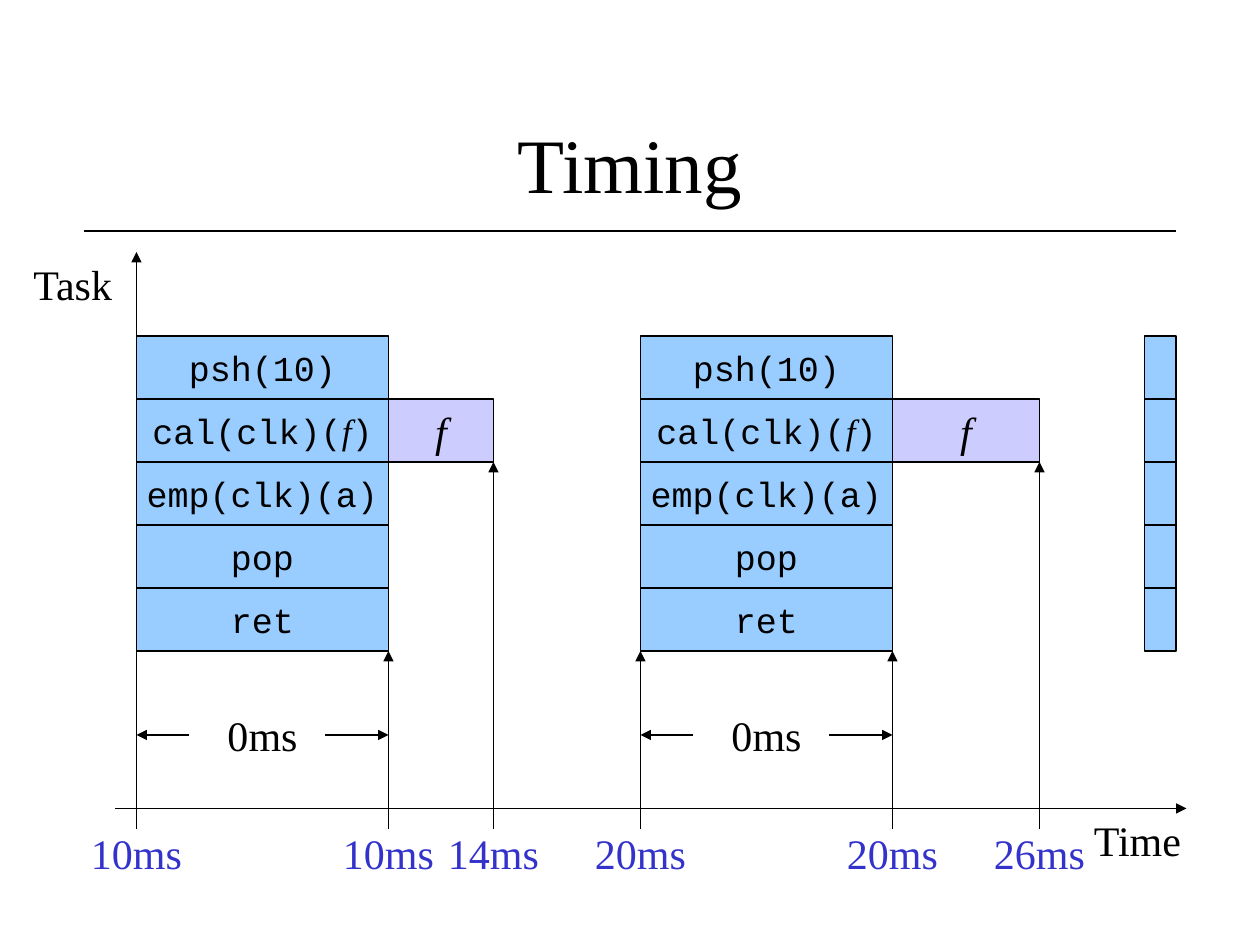
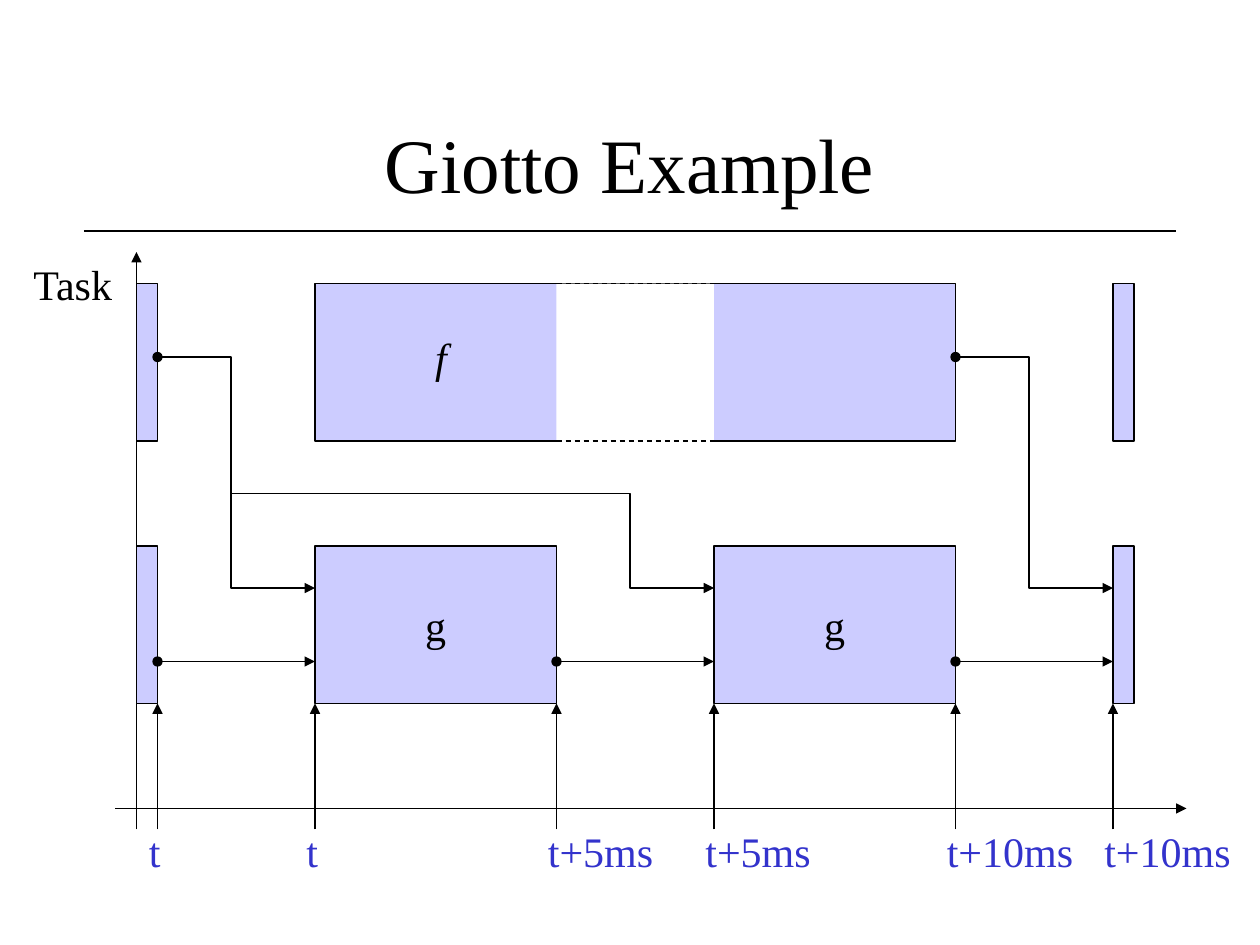
from lxml.etree import SubElement
from pptx import Presentation
from pptx.dml.color import RGBColor
from pptx.enum.dml import MSO_LINE_DASH_STYLE as DASH
from pptx.enum.shapes import MSO_CONNECTOR as CONNECTOR, MSO_SHAPE as SHAPE
from pptx.enum.text import MSO_ANCHOR as ANCHOR, MSO_AUTO_SIZE as AUTO, PP_ALIGN as ALIGN
from pptx.oxml.ns import qn
from pptx.util import Pt

PX = 9525
BLACK, WHITE, BLUE = "000000", "FFFFFF", "3333CC"
SKY, LILAC = "99CCFF", "CCCCFF"
SERIF = {"name": "Times New Roman", "size": Pt(24)}
ITALIC = {**SERIF, "italic": True}
CODE = {"name": "Courier New", "size": Pt(20)}
CODE_ITALIC = {**ITALIC, "size": Pt(20)}
TITLE = {**SERIF, "size": Pt(44)}
color = RGBColor.from_string


def add_box(shapes, area, spans=(), fill=None, ink=BLACK, align=ALIGN.CENTER, outlined=True):
    area = [value * PX for value in area]
    if fill:
        box = shapes.add_shape(SHAPE.RECTANGLE, *area)
        box.shadow.inherit = False
        box.fill.solid()
        box.fill.fore_color.rgb = color(fill)
        if outlined:
            box.line.color.rgb = color(BLACK)
            box.line.width = Pt(0.75)
        else:
            box.line.fill.background()
        frame_values = {"word_wrap": False, "vertical_anchor": ANCHOR.MIDDLE}
    else:
        box = shapes.add_textbox(*area)
        frame_values = {"word_wrap": True, "auto_size": AUTO.SHAPE_TO_FIT_TEXT}
    for key, value in frame_values.items():
        setattr(box.text_frame, key, value)
    para = box.text_frame.paragraphs[0]
    para.alignment = align
    for text, style in spans:
        span = para.add_run()
        span.text = text
        span.font.color.rgb = color(ink)
        for key, value in style.items():
            setattr(span.font, key, value)


def add_path(shapes, points, head=None, tail="triangle", dash=None):
    if len(points) == 2:
        ends = [value * PX for point in points for value in point]
        path = shapes.add_connector(CONNECTOR.STRAIGHT, *ends)
    else:
        builder = shapes.build_freeform(*points[0], scale=PX)
        builder.add_line_segments(points[1:], close=False)
        path = builder.convert_to_shape()
        path.fill.background()
    path.line.color.rgb = color(BLACK)
    path.line.width = Pt(0.75)
    if dash:
        path.line.dash_style = dash
    outline = path.element.spPr.find(qn("a:ln"))
    for tag, kind in (("a:headEnd", head), ("a:tailEnd", tail)):
        if kind:
            SubElement(outline, qn(tag), type=kind)
    SubElement(path.element.spPr, qn("a:effectLst"))


deck = Presentation()
deck.slide_width, deck.slide_height = 960 * PX, 720 * PX

pages = []
for heading in ("Timing", "Giotto Example"):
    page = deck.slides.add_slide(deck.slide_layouts[5])
    title = page.shapes.title
    title_place = {"left": 72, "top": 64, "width": 816, "height": 120}
    for key, value in title_place.items():
        setattr(title, key, value * PX)
    title.text_frame.text = heading
    title.text_frame.vertical_anchor = ANCHOR.MIDDLE
    para = title.text_frame.paragraphs[0]
    para.alignment = ALIGN.CENTER
    para.font.color.rgb = color(BLACK)
    for key, value in TITLE.items():
        setattr(para.font, key, value)
    add_path(page.shapes, [(64, 176), (896, 176)], tail=None)
    add_path(page.shapes, [(104, 632), (104, 192)])
    add_path(page.shapes, [(88, 616), (904, 616)])
    add_box(page.shapes, (16, 192, 86, 48), [("Task", SERIF)], align=ALIGN.LEFT)
    pages.append(page)

timing, giotto = [page.shapes for page in pages]

ROW_TOP, ROW = 256, 48
commands = [
    [("psh(10)", CODE)],
    [("cal(clk)(", CODE), ("f", CODE_ITALIC), (")", CODE)],
    [("emp(clk)(a)", CODE)],
    [("pop", CODE)],
    [("ret", CODE)],
]
add_box(timing, (824, 616, 92, 48), [("Time", SERIF)], align=ALIGN.LEFT)
for start, task_width in ((104, 80), (488, 112)):
    end = start + 192
    add_box(timing, (end, ROW_TOP + ROW, task_width, ROW), [("f", ITALIC)], LILAC)
    add_box(timing, (start + 56, 536, 80, 48), [("0ms", SERIF)])
    add_path(timing, [(start + 40, 560), (start, 560)])
    add_path(timing, [(end - 48, 560), (end, 560)])
    block = timing.add_group_shape().shapes
    for row, spans in enumerate(commands):
        add_box(block, (start, ROW_TOP + row * ROW, 192, ROW), spans, SKY)
for row in range(len(commands)):
    add_box(timing, (872, ROW_TOP + row * ROW, 24, ROW), fill=SKY)

moments = [
    (104, "10ms", None), (296, "10ms", 496), (376, "14ms", 352),
    (488, "20ms", 496), (680, "20ms", 496), (792, "26ms", 352),
]
for x, label, arrow_top in moments:
    if arrow_top:
        add_path(timing, [(x, 632), (x, arrow_top)])
    add_box(timing, (x - 48, 626, 96, 48), [(label, SERIF)], ink=BLUE)

F_TOP, G_TOP, BAR = 216, 416, 120
for x in (104, 848):
    for top in (F_TOP, G_TOP):
        add_box(giotto, (x, top, 16, BAR), fill=LILAC)
for x in (240, 544):
    add_box(giotto, (x, G_TOP, 184, BAR), [("g", SERIF)], LILAC)
add_box(giotto, (240, F_TOP, 488, BAR), fill=LILAC)
add_box(giotto, (424, F_TOP, 120, 128), fill=WHITE, outlined=False)
add_box(giotto, (304, 248, 64, 48), [("f", ITALIC)])
for y in (F_TOP, F_TOP + BAR):
    add_path(giotto, [(424, y), (544, y)], tail=None, dash=DASH.DASH)

for x in (120, 424, 728):
    add_path(giotto, [(x, 504), (x + 120, 504)], head="oval")
for x, bend in ((120, 176), (728, 784)):
    route = [(x, 272), (bend, 272), (bend, 448), (x + 120, 448)]
    add_path(giotto, route, head="oval")
add_path(giotto, [(176, 376), (480, 376), (480, 448), (544, 448)])

instants = [
    (120, "t", 32), (240, "t", 32), (424, "t+5ms", 106),
    (544, "t+5ms", 106), (728, "t+10ms", 122), (848, "t+10ms", 122),
]
for x, label, width in instants:
    add_path(giotto, [(x, 632), (x, G_TOP + BAR)])
    add_box(giotto, (x - 16, 624, width, 48), [(label, SERIF)], ink=BLUE, align=ALIGN.LEFT)

deck.save("out.pptx")
